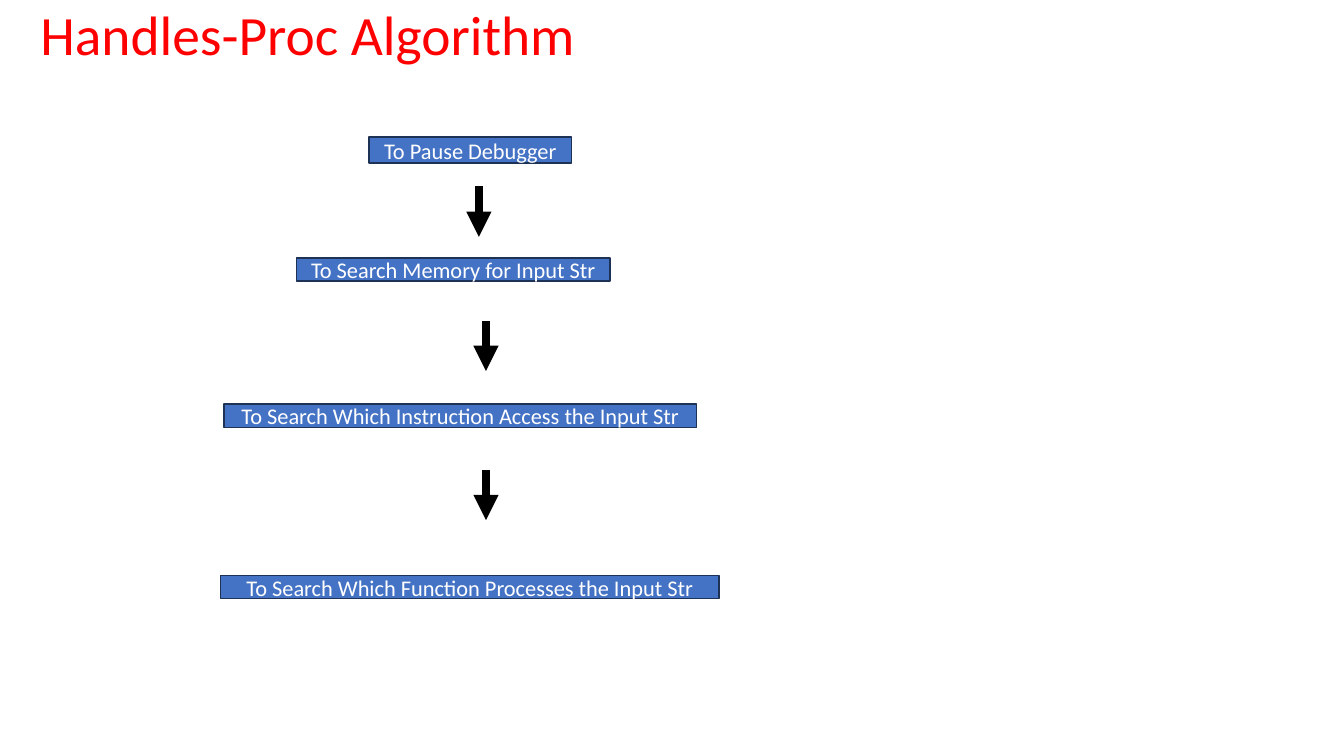
from dataclasses import dataclass

from lxml import etree
from pptx import Presentation
from pptx import util as u
from pptx.dml.color import RGBColor
from pptx.enum import shapes, text
from pptx.oxml import ns

EMU_PER_PX = 9144  # 100 px to the inch


@dataclass(frozen=True)
class Theme:
    font: str = "Calibri"
    title_color: str = "FF0000"
    step_fill: str = "4472C4"
    step_line: str = "1E3256"
    step_text: str = "FFFFFF"
    arrow_color: str = "000000"
    title_size: float = 39.6
    step_size: float = 16
    step_line_width: float = 1
    arrow_width: float = 6


THEME = Theme()
TITLE_BOX = (30, 10, 661, 54)
FLOW_BOX = (219, 136, 494, 458)
ARROW_LENGTH = 50

# Label, then left, top, width and height within the flow box
STEPS = [
    ("To Pause Debugger", 147, 0, 201, 26),
    ("To Search Memory for Input Str", 75, 120, 311, 23),
    ("To Search Which Instruction Access the Input Str", 3, 265, 469, 23),
    ("To Search Which Function Processes the Input Str", 0, 435, 494, 23),
]
# Horizontal position and top of each arrow within the flow box
ARROWS = [(256, 49), (263, 182), (263, 330)]


def px(length):
    return u.Emu(length * EMU_PER_PX)


def write(shape, words, size, color, alignment):
    frame = shape.text_frame
    frame_format = {
        "word_wrap": True,
        "auto_size": text.MSO_AUTO_SIZE.NONE,
        "vertical_anchor": text.MSO_ANCHOR.MIDDLE,
    }
    for name, value in frame_format.items():
        setattr(frame, name, value)
    paragraph = frame.paragraphs[0]
    paragraph.alignment = alignment
    run = paragraph.add_run()
    run.text = words
    for name, value in {"name": THEME.font, "size": u.Pt(size), "bold": False}.items():
        setattr(run.font, name, value)
    run.font.color.rgb = RGBColor.from_string(color)
    return paragraph


def set_line(line, color, width):
    line.color.rgb = RGBColor.from_string(color)
    line.width = u.Pt(width)


def add_title(slide, words, box):
    title = slide.shapes.title
    for name, value in zip(("left", "top", "width", "height"), box):
        setattr(title, name, px(value))
    paragraph = write(title, words, THEME.title_size, THEME.title_color, text.PP_ALIGN.LEFT)
    paragraph.line_spacing = 0.9


def add_step(slide, label, box):
    step = slide.shapes.add_shape(shapes.MSO_SHAPE.RECTANGLE, *map(px, box))
    step.shadow.inherit = False
    step.fill.solid()
    step.fill.fore_color.rgb = RGBColor.from_string(THEME.step_fill)
    set_line(step.line, THEME.step_line, THEME.step_line_width)
    write(step, label, THEME.step_size, THEME.step_text, text.PP_ALIGN.CENTER)


def add_down_arrow(slide, x, top):
    arrow = slide.shapes.add_connector(
        shapes.MSO_CONNECTOR.STRAIGHT, px(x), px(top), px(x), px(top + ARROW_LENGTH)
    )
    set_line(arrow.line, THEME.arrow_color, THEME.arrow_width)
    properties = arrow._element.spPr
    outline = properties.find(ns.qn("a:ln"))
    etree.SubElement(outline, ns.qn("a:tailEnd"), type="triangle")
    etree.SubElement(properties, ns.qn("a:effectLst"))


def add_flow(slide, box):
    left, top = box[:2]
    for label, x, y, width, height in STEPS:
        add_step(slide, label, (left + x, top + y, width, height))
    for x, y in ARROWS:
        add_down_arrow(slide, left + x, top + y)


def main():
    presentation = Presentation()
    presentation.slide_width = u.Inches(13.33)
    presentation.slide_height = u.Inches(7.5)
    title_only = presentation.slide_layouts.get_by_name("Title Only")
    slide = presentation.slides.add_slide(title_only)
    add_title(slide, "Handles-Proc Algorithm", TITLE_BOX)
    add_flow(slide, FLOW_BOX)
    presentation.save("out.pptx")


if __name__ == "__main__":
    main()
